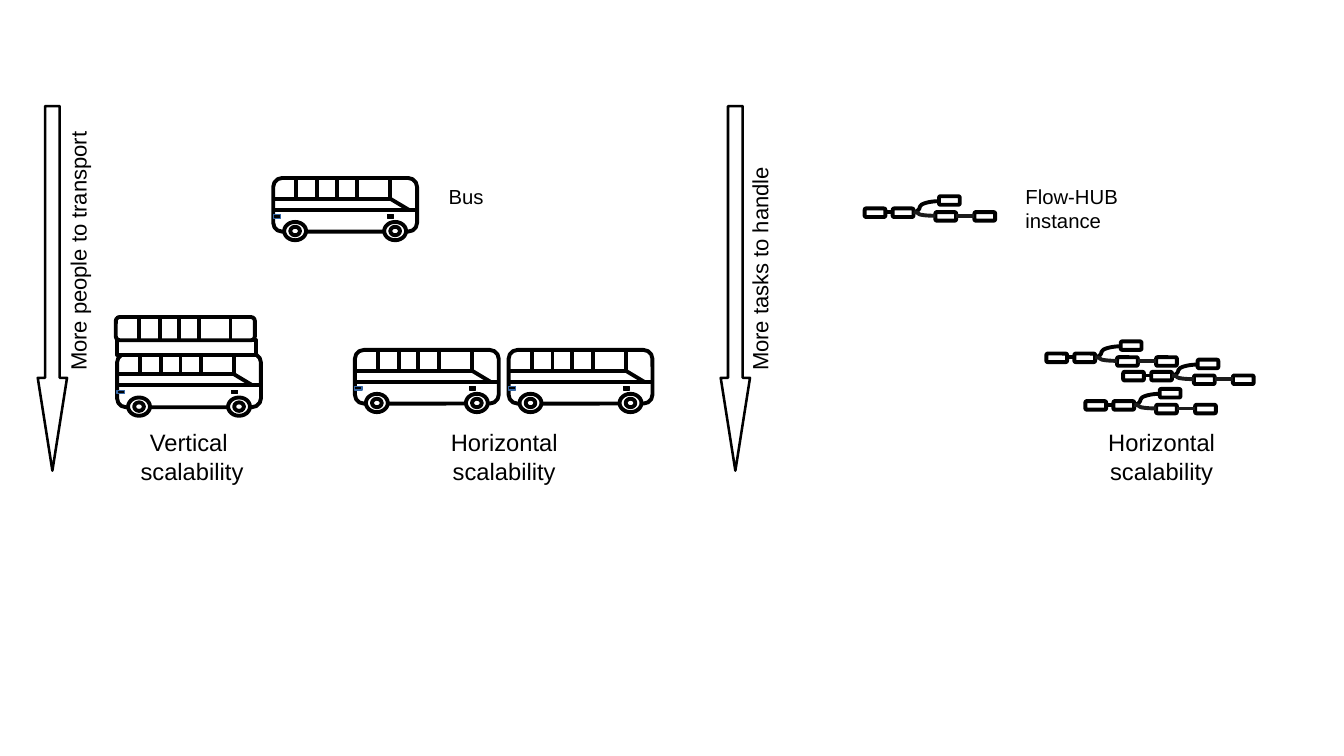
from pptx import Presentation
from pptx.dml.color import RGBColor
from pptx.enum.shapes import MSO_CONNECTOR as Connector, MSO_SHAPE as Shape
from pptx.enum.text import MSO_ANCHOR as Anchor, PP_ALIGN as Align
from pptx.oxml.ns import qn
from pptx.oxml.xmlchemy import OxmlElement
from pptx.util import Inches, Pt

presentation = Presentation()
presentation.slide_width, presentation.slide_height = Inches(11.02), Inches(6.2)
slide = presentation.slides.add_slide(presentation.slide_layouts[6])
column = presentation.slide_width / 1102
row = presentation.slide_height / 620
color = RGBColor.from_string
BLACK, INK, CHARCOAL, WHITE, BLUE = "000000", "020202", "1C1C1C", "FFFFFF", "3465A4"
THICK = 2.3


def draw_shape(parent, kind, origin, box, line=BLACK, fill=None, width=THICK, adjust=()):
    left, top, wide, high = box
    shape = parent.shapes.add_shape(
        kind, round((origin[0] + left) * column), round((origin[1] + top) * row),
        round(wide * column), round(high * row))
    shape.shadow.inherit = False
    for index, value in enumerate(adjust):
        shape.adjustments[index] = value
    if fill:
        shape.fill.solid()
        shape.fill.fore_color.rgb = color(fill)
    else:
        shape.fill.background()
    shape.line.color.rgb = color(line)
    shape.line.width = Pt(width)


def draw_line(parent, origin, ends, line=INK, bend=None):
    x, y = origin
    x1, y1, x2, y2 = ends
    connector = parent.shapes.add_connector(
        Connector.CURVE if bend else Connector.STRAIGHT,
        round((x + x1) * column), round((y + y1) * row),
        round((x + x2) * column), round((y + y2) * row))
    connector.line.color.rgb = color(line)
    connector.line.width = Pt(THICK)
    properties = connector._element.spPr
    properties.append(OxmlElement("a:effectLst"))
    if bend:
        guide = OxmlElement("a:gd")
        guide.set("name", "adj1")
        guide.set("fmla", f"val {round(bend * 100000)}")
        properties.find(qn("a:prstGeom")).get_or_add_avLst().append(guide)


bus_positions = [(224, 146), (291, 287), (417, 287), (96, 290)]
for bus in bus_positions:
    group = slide.shapes.add_group_shape()
    draw_shape(group, Shape.ROUNDED_RECTANGLE, bus, (0, 0, 118, 44))
    draw_line(group, bus, (0, 26, 118, 26), BLACK)
    for wheel in (9, 91):
        draw_shape(group, Shape.OVAL, bus, (wheel, 36, 18, 15), fill=WHITE)
        draw_shape(group, Shape.OVAL, bus, (wheel + 5, 40, 8, 7), INK, WHITE)
    draw_shape(group, Shape.RECTANGLE, bus, (94, 30, 5, 3), INK, BLACK, 0)
    draw_shape(group, Shape.RECTANGLE, bus, (0, 30, 6, 3), BLUE, INK, 0)
    for window in (19, 36, 52, 69, 96):
        draw_line(group, bus, (window, 0, window, 17))
    draw_line(group, bus, (111, 26, 96, 17))
    draw_line(group, bus, (96, 17, 0, 17))

double_decker = bus_positions[-1]
draw_shape(group, Shape.RECTANGLE, double_decker, (0, -11, 114, 12), fill=WHITE)
draw_shape(group, Shape.ROUNDED_RECTANGLE, double_decker, (-1, -30, 114, 19), INK, WHITE)
for window in (18, 35, 51, 67, 93):
    draw_line(group, double_decker, (window, -30, window, -11))

for arrow in [(31, 87), (591, 87)]:
    draw_shape(slide, Shape.DOWN_ARROW, arrow, (0, 0, 24, 299), BLACK, WHITE, 1.5, (0.5, 3.17))

for flow in [(709, 161), (921, 295), (858, 280), (890, 319)]:
    group = slide.shapes.add_group_shape()
    for left, top in [(0, 10), (23, 10), (61, 0), (58, 13), (90, 13)]:
        draw_shape(group, Shape.ROUNDED_RECTANGLE, flow, (left, top, 17, 7))
    draw_line(group, flow, (17, 13, 23, 13), BLACK)
    draw_line(group, flow, (40, 13, 61, 4), BLACK, 0.25)
    draw_line(group, flow, (40, 13, 58, 16), CHARCOAL, 0.25)
    draw_line(group, flow, (75, 16, 90, 16), CHARCOAL)

labels = [
    (["Vertical ", "scalability"], (67, 346, 181, 66), 14, Align.CENTER, 0),
    (["Horizontal scalability"], (323, 346, 181, 66), 14, Align.CENTER, 0),
    (["Horizontal scalability"], (862, 346, 181, 66), 14, Align.CENTER, 0),
    (["More people to transport"], (-59, 177, 244, 30), 13, Align.LEFT, 270),
    (["More tasks to handle"], (500, 177, 244, 30), 13, Align.LEFT, 270),
    (["Flow-HUB", "instance"], (831, 146, 100, 47), 12, Align.LEFT, 0),
    (["Bus"], (358, 146, 53, 29), 12, Align.LEFT, 0),
]
frame_format = {"word_wrap": True, "vertical_anchor": Anchor.TOP,
                "margin_left": Inches(0.1), "margin_right": Inches(0.1),
                "margin_top": Inches(0.05), "margin_bottom": Inches(0.05)}
for lines, (left, top, wide, high), size, alignment, rotation in labels:
    label = slide.shapes.add_textbox(
        round(left * column), round(top * row), round(wide * column), round(high * row))
    label.rotation = rotation
    frame = label.text_frame
    for name, value in frame_format.items():
        setattr(frame, name, value)
    frame.text = "\n".join(lines)
    for paragraph in frame.paragraphs:
        paragraph.alignment = alignment
        font = paragraph.runs[0].font
        for name, value in {"name": "Arial", "size": Pt(size)}.items():
            setattr(font, name, value)
        font.color.rgb = color(BLACK)

presentation.save("out.pptx")
